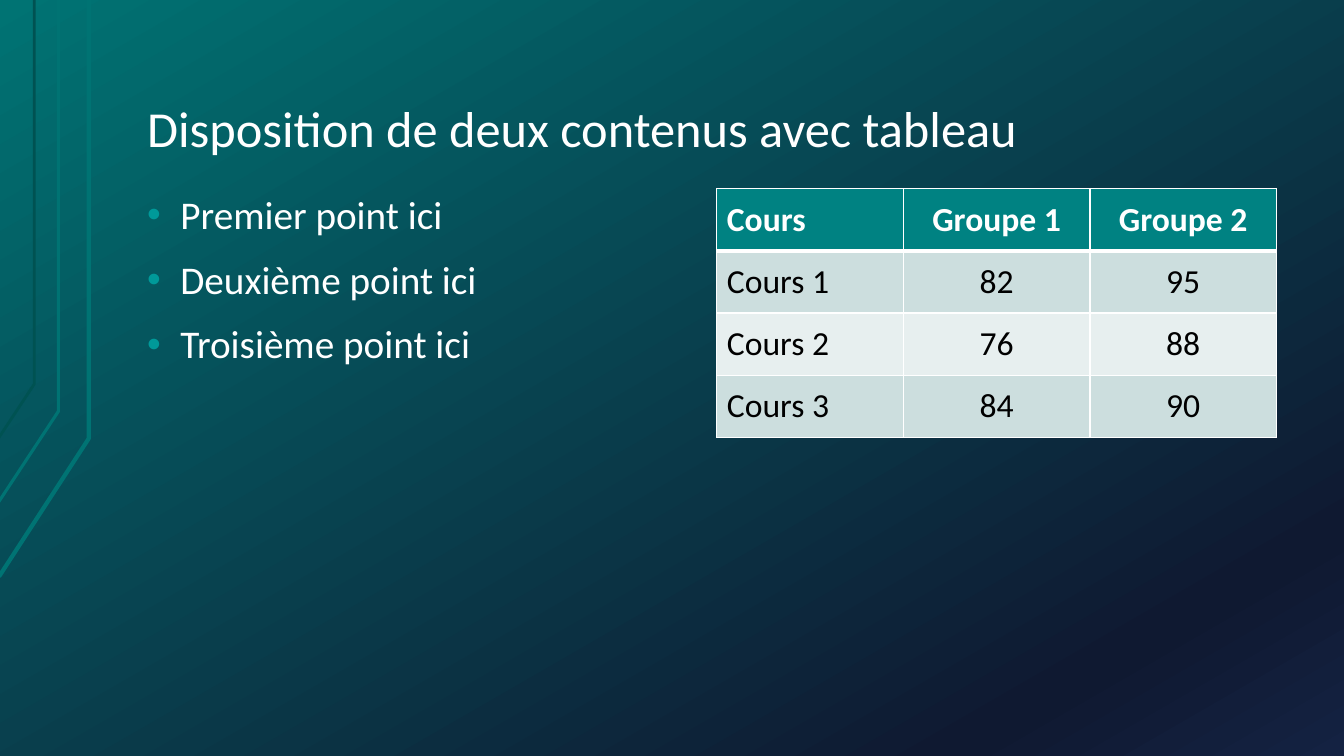
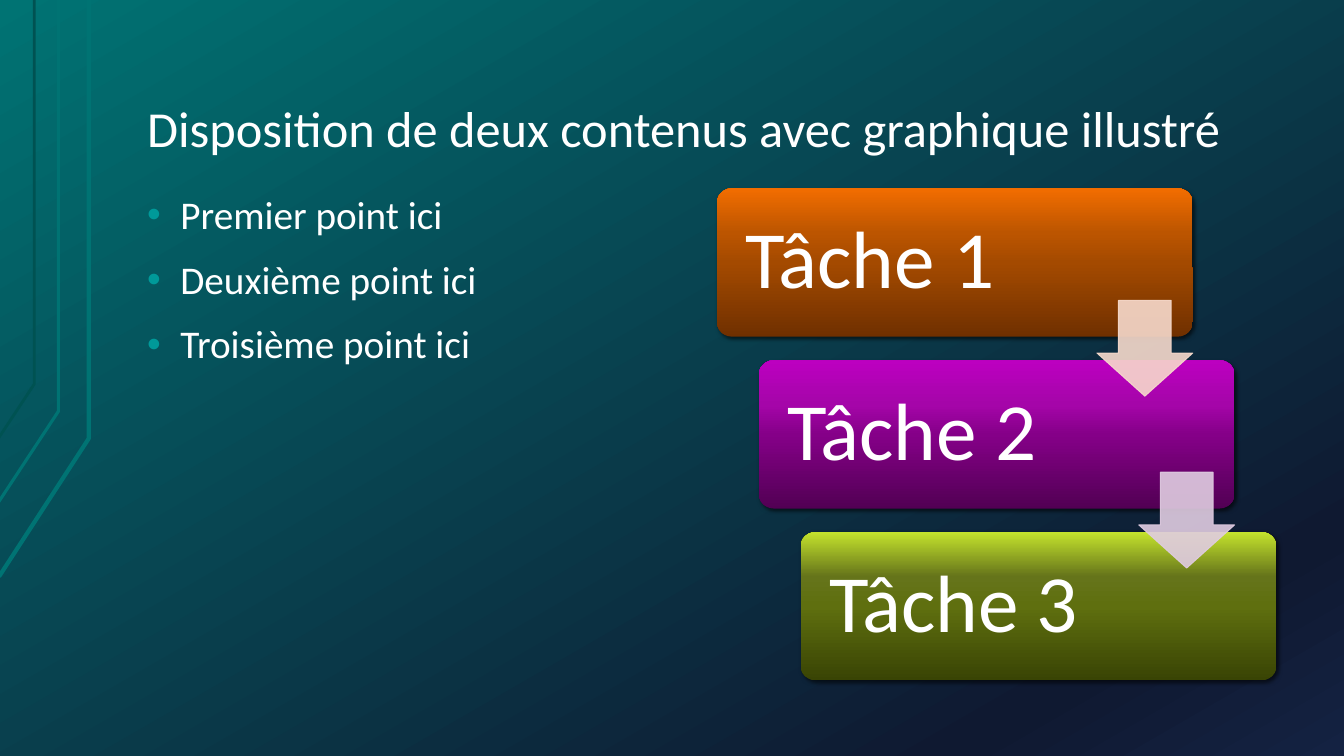
"""Build two content slides: one with a table, one with a task cascade."""
from dataclasses import dataclass
from typing import Any, Optional

from lxml import etree
from pptx import Presentation
from pptx import util as u
from pptx.dml import color
from pptx.enum import shapes, text
from pptx.oxml import ns

COLORS = {
    "white": "FFFFFF",
    "black": "000000",
    "teal": "007373",
    "dark_teal": "005252",
    "bullet": "009999",
    "header": "008282",
    "odd_row": "CCDEDE",
    "even_row": "E7EFEF",
    "peach": "F7DACC",
    "lilac": "E0CCE1",
}
FONT = "Calibri"
BACKGROUND = ((0, "007373"), (85, "0F1931"), (100, "142242"))
MARGINS = (0.13, 0.07, 0.13, 0.07)
LEFT, TOP, RIGHT, BOTTOM = 7.11, 1.87, 12.66, 6.75
TASK_WIDTH, TASK_HEIGHT, ARROW_SIZE, ARROW_DROP = 4.72, 1.47, 0.95, 1.11
POINTS = ("Premier point ici", "Deuxième point ici", "Troisième point ici")
TABLE_ROWS = (
    ("Cours", "Groupe 1", "Groupe 2"),
    ("Cours 1", "82", "95"),
    ("Cours 2", "76", "88"),
    ("Cours 3", "84", "90"),
)


@dataclass(frozen=True)
class EdgeLine:
    start: tuple[float, float]
    bend: tuple[float, float]
    width: float
    color: str


@dataclass(frozen=True)
class Task:
    label: str
    stops: tuple[tuple[int, str], ...]
    arrow: Optional[str] = None


EDGE_LINES = (
    EdgeLine((-0.01, 5.72), (0.88, 4.35), 3, "teal"),
    EdgeLine((-0.02, 4.99), (0.58, 4.08), 2.25, "teal"),
    EdgeLine((-0.01, 4.34), (0.34, 3.81), 2, "dark_teal"),
)
TASKS = (
    Task("Tâche 1", ((0, "703000"), (50, "A44A00"), (70, "BC5500"), (100, "F26D00")), "peach"),
    Task("Tâche 2", ((0, "520054"), (50, "850088"), (70, "A505A9"), (100, "BC00C0")), "lilac"),
    Task("Tâche 3", ((0, "394404"), (50, "5F6F0F"), (70, "65741A"), (100, "C4E32D"))),
)


def rgb(name: str) -> color.RGBColor:
    """Return a named colour."""
    return color.RGBColor.from_string(COLORS[name])


def add_node(parent: Any, tag: str, **attributes: Any) -> Any:
    """Append a drawing element with the given attributes."""
    values = {key: str(value) for key, value in attributes.items()}
    return etree.SubElement(parent, ns.qn(f"a:{tag}"), values)


def set_gradient(fill: Any, element: Any, stops: tuple[tuple[int, str], ...], angle: float) -> None:
    """Fill with colour stops at a counter-clockwise angle."""
    fill.gradient()
    fill.gradient_angle = angle
    stop_list = next(element.iter(ns.qn("a:gsLst")))
    for stop in list(stop_list):
        stop_list.remove(stop)
    for position, value in stops:
        add_node(add_node(stop_list, "gs", pos=position * 1000), "srgbClr", val=value)


def write_text(frame: Any, *lines: str, size: float, ink: str = "white", bold: bool = False,
               align: Any = text.PP_ALIGN.LEFT, anchor: Any = text.MSO_ANCHOR.TOP,
               margins: tuple[float, ...] = MARGINS, line_spacing: float = 0.9,
               space_before: float = 0, bullet: bool = False) -> None:
    """Write one paragraph per line in a text frame."""
    frame.word_wrap = True
    frame.vertical_anchor = anchor
    frame.margin_left, frame.margin_top, frame.margin_right, frame.margin_bottom = map(u.Inches, margins)
    for index, line in enumerate(lines):
        paragraph = frame.add_paragraph() if index else frame.paragraphs[0]
        paragraph.alignment = align
        paragraph.line_spacing = line_spacing
        paragraph.space_before = u.Pt(space_before)
        run = paragraph.add_run()
        run.text = line
        run.font.name, run.font.size, run.font.bold = FONT, u.Pt(size), bold
        run.font.color.rgb = rgb(ink)
        if bullet:
            properties = paragraph._p.get_or_add_pPr()
            properties.set("marL", str(u.Inches(0.33)))
            properties.set("indent", str(u.Inches(-0.33)))
            add_node(add_node(properties, "buClr"), "srgbClr", val=COLORS["bullet"])
            add_node(properties, "buFont", typeface="Arial")
            add_node(properties, "buChar", char="•")


def add_text_box(slide: Any, left: float, top: float, width: float, height: float,
                 *lines: str, **style: Any) -> None:
    """Add a text box with formatted lines."""
    box = slide.shapes.add_textbox(*map(u.Inches, (left, top, width, height)))
    write_text(box.text_frame, *lines, **style)


def add_edge_line(slide: Any, edge: EdgeLine) -> None:
    """Draw a bent line that rises to the top of the slide."""
    start, bend, end = (tuple(map(u.Inches, point)) for point in (edge.start, edge.bend, (edge.bend[0], 0)))
    builder = slide.shapes.build_freeform(*start)
    builder.add_line_segments((bend, end), close=False)
    shape = builder.convert_to_shape()
    shape.shadow.inherit = False
    shape.fill.background()
    shape.line.color.rgb = rgb(edge.color)
    shape.line.width = u.Pt(edge.width)


def add_content_slide(presentation: Any, title: str) -> Any:
    """Add a slide with the shared background, lines, title and points."""
    slide = presentation.slides.add_slide(presentation.slide_layouts[6])
    set_gradient(slide.background.fill, slide.element, BACKGROUND, 300)
    for edge in EDGE_LINES:
        add_edge_line(slide, edge)
    add_text_box(slide, 1.33, 0.3, 11.33, 1.34, title, size=36, anchor=text.MSO_ANCHOR.BOTTOM)
    add_text_box(slide, 1.33, TOP, 5.55, BOTTOM - TOP, *POINTS, size=28, space_before=16, bullet=True)
    return slide


def set_borders(cell: Any, top: float, bottom: float) -> None:
    """Draw white borders around a cell."""
    properties = cell._tc.get_or_add_tcPr()
    for side, width in (("L", 1), ("R", 1), ("T", top), ("B", bottom)):
        border = add_node(properties, f"ln{side}", w=u.Pt(width))
        add_node(add_node(border, "solidFill"), "srgbClr", val=COLORS["white"])


def add_course_table(slide: Any) -> None:
    """Add the table of courses and groups."""
    frame = slide.shapes.add_table(len(TABLE_ROWS), len(TABLE_ROWS[0]), u.Inches(LEFT), u.Inches(TOP),
                                   u.Inches(RIGHT - LEFT), u.Inches(2.47))
    for row, values in enumerate(TABLE_ROWS):
        header = row == 0
        for column, value in enumerate(values):
            cell = frame.table.cell(row, column)
            set_borders(cell, 3 if row == 1 else 1, 3 if header else 1)
            cell.fill.solid()
            cell.fill.fore_color.rgb = rgb("header" if header else "odd_row" if row % 2 else "even_row")
            cell.vertical_anchor = text.MSO_ANCHOR.MIDDLE
            cell.margin_left = cell.margin_right = u.Inches(0.1)
            cell.margin_top = cell.margin_bottom = u.Inches(0.05)
            paragraph = cell.text_frame.paragraphs[0]
            paragraph.alignment = text.PP_ALIGN.CENTER if column else text.PP_ALIGN.LEFT
            run = paragraph.add_run()
            run.text = value
            run.font.name, run.font.size, run.font.bold = FONT, u.Pt(24), header
            run.font.color.rgb = rgb("white" if header else "black")


def add_task(slide: Any, task: Task, left: float, top: float) -> None:
    """Add a rounded task box with a soft shadow."""
    shape = slide.shapes.add_shape(shapes.MSO_SHAPE.ROUNDED_RECTANGLE,
                                   *map(u.Inches, (left, top, TASK_WIDTH, TASK_HEIGHT)))
    shape.adjustments[0] = 0.1
    set_gradient(shape.fill, shape.element, task.stops, 90)
    shape.line.fill.background()
    shape.shadow.inherit = False
    effects = shape.element.spPr.find(ns.qn("a:effectLst"))
    shadow = add_node(effects, "outerShdw", blurRad=u.Pt(3), dist=u.Pt(2), dir=45 * 60000, rotWithShape=0)
    add_node(add_node(shadow, "srgbClr", val=COLORS["black"]), "alpha", val=60000)
    write_text(shape.text_frame, task.label, size=58, anchor=text.MSO_ANCHOR.MIDDLE,
               margins=(0.24, 0.24, 0.24, 0.24))


def add_arrow(slide: Any, tint: str, left: float, top: float) -> None:
    """Add a translucent arrow pointing to the next task."""
    arrow = slide.shapes.add_shape(shapes.MSO_SHAPE.DOWN_ARROW,
                                   *map(u.Inches, (left, top, ARROW_SIZE, ARROW_SIZE)))
    arrow.adjustments[0], arrow.adjustments[1] = 0.55, 0.45
    arrow.shadow.inherit = False
    arrow.fill.solid()
    arrow.fill.fore_color.rgb = rgb(tint)
    arrow.line.color.rgb = rgb(tint)
    arrow.line.width = u.Pt(0.75)
    for shade in arrow.element.spPr.iter(ns.qn("a:srgbClr")):
        add_node(shade, "alpha", val=90000)


def add_task_cascade(slide: Any) -> None:
    """Add the stepped tasks, then the arrows over them."""
    gaps = len(TASKS) - 1
    step_x = (RIGHT - LEFT - TASK_WIDTH) / gaps
    step_y = (BOTTOM - TOP - TASK_HEIGHT) / gaps
    places = [(task, LEFT + index * step_x, TOP + index * step_y) for index, task in enumerate(TASKS)]
    for task, left, top in places:
        add_task(slide, task, left, top)
    for task, left, top in places:
        if task.arrow:
            add_arrow(slide, task.arrow, left + TASK_WIDTH - ARROW_SIZE, top + ARROW_DROP)


def main() -> None:
    """Build and save the presentation."""
    presentation = Presentation()
    presentation.slide_width, presentation.slide_height = u.Inches(13.33), u.Inches(7.5)
    add_course_table(add_content_slide(presentation, "Disposition de deux contenus avec tableau"))
    add_task_cascade(add_content_slide(presentation, "Disposition de deux contenus avec graphique illustré"))
    presentation.save("out.pptx")


if __name__ == "__main__":
    main()
